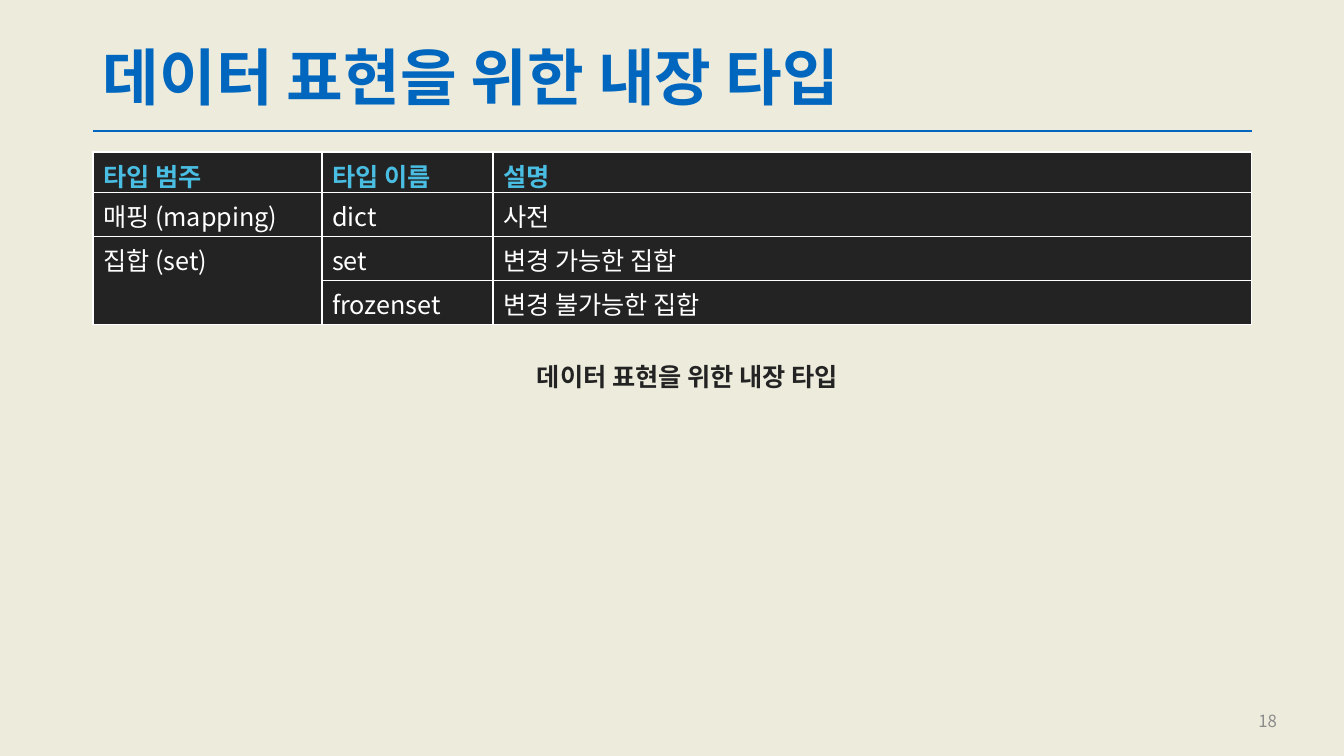
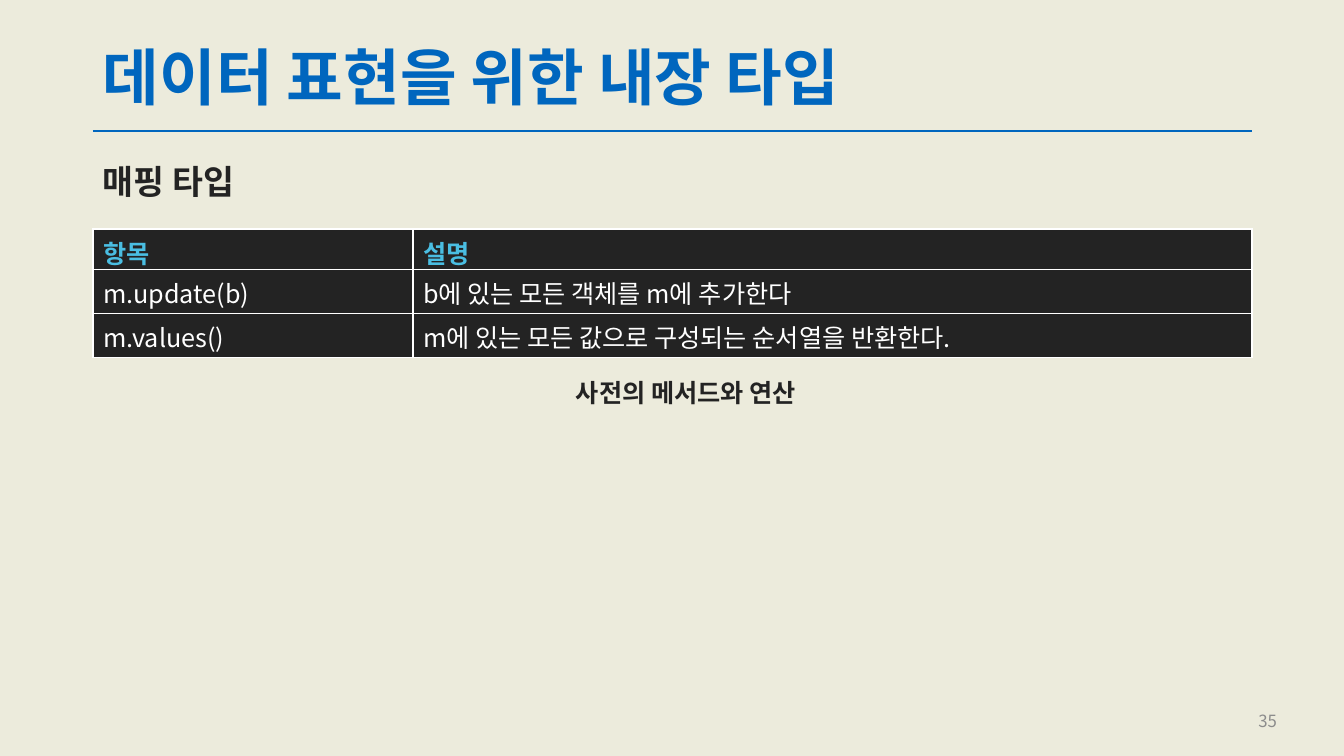
from dataclasses import dataclass
from typing import Optional

from lxml.etree import SubElement
from pptx import Presentation
from pptx.dml.color import RGBColor
from pptx.enum.shapes import MSO_CONNECTOR
from pptx.enum.text import MSO_ANCHOR, PP_ALIGN
from pptx.oxml.ns import qn
from pptx.util import Emu, Pt

COLORS = {
    "background": "ECEBDC",
    "accent": "0066BE",
    "dark": "232323",
    "header": "4ABEE2",
    "light": "FFFFFF",
    "muted": "8C8C8C",
}
FONT = "Noto Sans CJK KR"
EMU_PER_INCH = 914400
PX_PER_INCH = 100.8
SLIDE_W, SLIDE_H = 1344, 756
LEFT, CONTENT_W = 93, 1159
HEADER_H, ROW_H = 39, 44
TITLE = "데이터 표현을 위한 내장 타입"


@dataclass(frozen=True)
class Box:
    """A rectangle in pixels."""
    x: int
    y: int
    w: int
    h: int


@dataclass(frozen=True)
class TextStyle:
    """The look of one paragraph."""
    size: int
    color: str
    bold: bool = False
    align: PP_ALIGN = PP_ALIGN.LEFT
    line_spacing: Optional[float] = None
    space_before: int = 0


@dataclass(frozen=True)
class TableSpec:
    """Table contents; None continues the cell above."""
    top: int
    widths: tuple
    rows: tuple


@dataclass(frozen=True)
class Page:
    """What differs from slide to slide."""
    number: str
    table: TableSpec
    caption: str
    caption_box: Box
    subtitle: Optional[str] = None


TITLE_STYLE = TextStyle(44, "accent", True, line_spacing=0.9)
SUBTITLE_STYLE = TextStyle(24, "dark", True, line_spacing=0.9, space_before=10)
CAPTION_STYLE = TextStyle(18, "dark", True, PP_ALIGN.CENTER)
NUMBER_STYLE = TextStyle(12, "muted", align=PP_ALIGN.RIGHT)
HEADER_STYLE = TextStyle(18, "header", True)
CELL_STYLE = TextStyle(18, "light")

PAGES = (
    Page(
        "18",
        TableSpec(152, (229, 171, 759), (
            ("타입 범주", "타입 이름", "설명"),
            ("매핑 (mapping)", "dict", "사전"),
            ("집합 (set)", "set", "변경 가능한 집합"),
            (None, "frozenset", "변경 불가능한 집합"),
        )),
        TITLE,
        Box(502, 356, 371, 40),
    ),
    Page(
        "35",
        TableSpec(229, (320, 839), (
            ("항목", "설명"),
            ("m.update(b)", "b에 있는 모든 객체를 m에 추가한다"),
            ("m.values()", "m에 있는 모든 값으로 구성되는 순서열을 반환한다."),
        )),
        "사전의 메서드와 연산",
        Box(548, 372, 276, 40),
        "매핑 타입",
    ),
)


def px(value: int) -> Emu:
    """Turn pixels into EMU."""
    return Emu(round(value * EMU_PER_INCH / PX_PER_INCH))


def rgb(name: str) -> RGBColor:
    """Look up a colour by name."""
    return RGBColor.from_string(COLORS[name])


def write(tf, text: str, style: TextStyle) -> None:
    """Set the text of a frame and format it."""
    tf.text = text
    p = tf.paragraphs[0]
    p.alignment = style.align
    p.space_before = Pt(style.space_before)
    if style.line_spacing:
        p.line_spacing = style.line_spacing
    for r in p.runs:
        r.font.name = FONT
        r.font.size = Pt(style.size)
        r.font.bold = style.bold
        r.font.color.rgb = rgb(style.color)
        SubElement(r.font._element, qn("a:ea")).set("typeface", FONT)


def add_text(s, box: Box, text: str, style: TextStyle,
             anchor: MSO_ANCHOR = MSO_ANCHOR.TOP, wrap: bool = True) -> None:
    """Add a text box."""
    sp = s.shapes.add_textbox(px(box.x), px(box.y), px(box.w), px(box.h))
    tf = sp.text_frame
    tf.word_wrap = wrap
    tf.vertical_anchor = anchor
    write(tf, text, style)


def add_rule(s) -> None:
    """Draw the line under the title."""
    y = px(131)
    line = s.shapes.add_connector(
        MSO_CONNECTOR.STRAIGHT, px(LEFT), y, px(LEFT + CONTENT_W), y)
    line.line.color.rgb = rgb("accent")
    line.line.width = Pt(1.5)
    SubElement(line._element.spPr, qn("a:effectLst"))


def add_borders(cell) -> None:
    """Give a cell thin light borders on all sides."""
    tc_pr = cell._tc.get_or_add_tcPr()
    for side in ("lnL", "lnR", "lnT", "lnB"):
        ln = SubElement(tc_pr, qn(f"a:{side}"), w=str(Pt(1)))
        fill = SubElement(ln, qn("a:solidFill"))
        SubElement(fill, qn("a:srgbClr"), val=COLORS["light"])


def add_table(s, spec: TableSpec) -> None:
    """Add a dark table with a coloured header row."""
    heights = [HEADER_H] + [ROW_H] * (len(spec.rows) - 1)
    frame = s.shapes.add_table(
        len(spec.rows), len(spec.widths),
        px(LEFT), px(spec.top), px(CONTENT_W), px(sum(heights)))
    table = frame.table
    for column, width in zip(table.columns, spec.widths):
        column.width = px(width)
    for i, texts in enumerate(spec.rows):
        table.rows[i].height = px(heights[i])
        for j, text in enumerate(texts):
            cell = table.cell(i, j)
            add_borders(cell)
            cell.fill.solid()
            cell.fill.fore_color.rgb = rgb("dark")
            if text is None:
                above = table.cell(i - 1, j)
                above.merge(cell)
                above.vertical_anchor = MSO_ANCHOR.TOP
                continue
            cell.vertical_anchor = MSO_ANCHOR.MIDDLE
            write(cell.text_frame, text, HEADER_STYLE if i == 0 else CELL_STYLE)


def add_page(prs, page: Page) -> None:
    """Build one slide."""
    s = prs.slides.add_slide(prs.slide_layouts[6])
    add_rule(s)
    add_text(s, Box(LEFT, 40, CONTENT_W, 81), TITLE, TITLE_STYLE,
             MSO_ANCHOR.MIDDLE)
    add_text(s, Box(985, 701, 302, 40), page.number, NUMBER_STYLE,
             MSO_ANCHOR.MIDDLE)
    if page.subtitle:
        add_text(s, Box(LEFT, 161, 1043, 52), page.subtitle, SUBTITLE_STYLE)
    add_table(s, page.table)
    add_text(s, page.caption_box, page.caption, CAPTION_STYLE, wrap=False)


def main() -> None:
    """Build and save the presentation."""
    prs = Presentation()
    prs.slide_width, prs.slide_height = px(SLIDE_W), px(SLIDE_H)
    background = prs.slide_master.background.fill
    background.solid()
    background.fore_color.rgb = rgb("background")
    for page in PAGES:
        add_page(prs, page)
    prs.save("out.pptx")


main()
